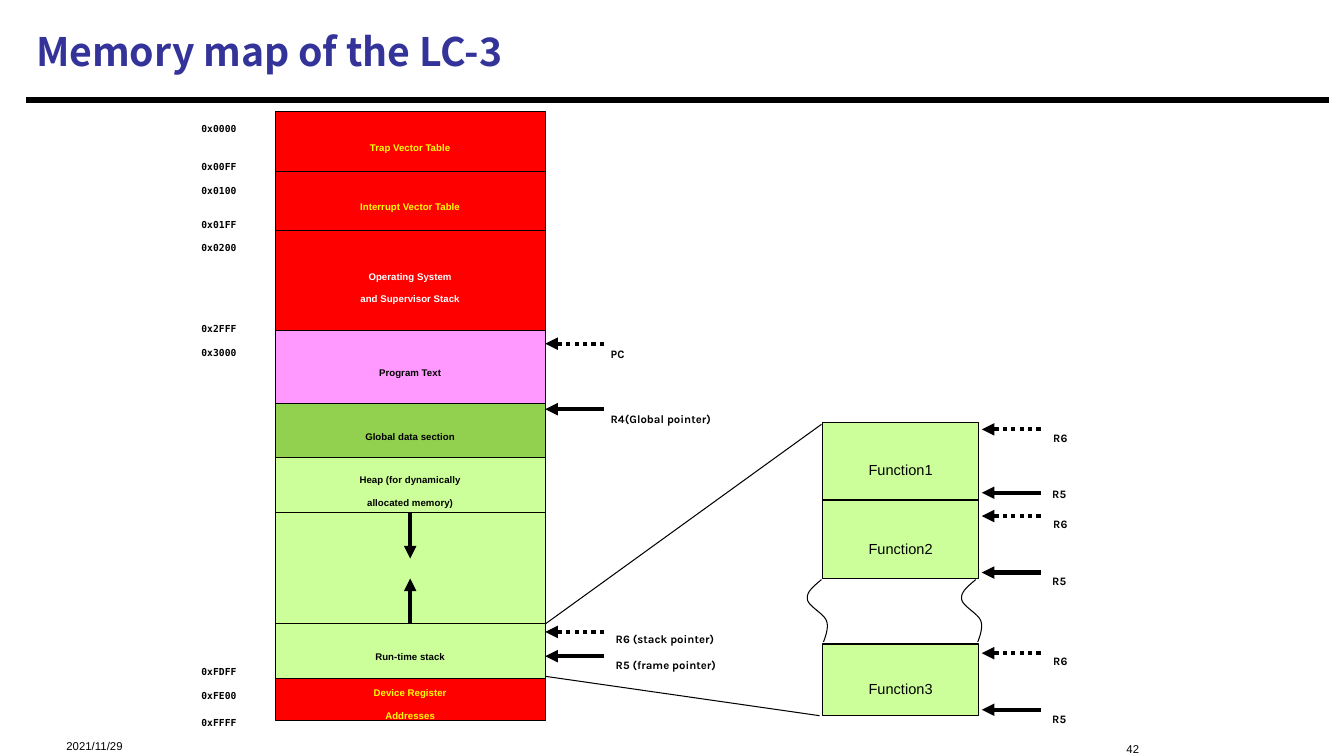
from dataclasses import dataclass

from lxml.etree import SubElement
from pptx import Presentation
from pptx.dml.color import RGBColor
from pptx.enum.dml import MSO_LINE
from pptx.enum.shapes import MSO_CONNECTOR as Link, MSO_SHAPE as Preset
from pptx.enum.text import MSO_ANCHOR as Anchor, PP_ALIGN as Align
from pptx.oxml.ns import qn
from pptx.util import Pt


@dataclass(frozen=True)
class Theme:
    ink: str = "000000"
    title: str = "333399"
    system: str = "FF0000"
    vector_text: str = "FFFF00"
    system_text: str = "FFFFFF"
    program: str = "FF99FF"
    global_data: str = "92D050"
    stack: str = "CCFF99"
    sans: str = "Arial"
    mono: str = "DejaVu Sans Mono"
    label: str = "Karla"
    heading: str = "Noto Sans CJK SC"
    title_size: float = 28
    function_size: float = 18
    label_size: float = 14
    small_size: float = 12
    thin: float = 0.75
    bold: float = 3
    rule: float = 3.75


class MemoryMap:
    def __init__(self, slide, theme):
        self.shapes = slide.shapes
        self.theme = theme

    def set_text(self, frame, text, font, size, color=None, bold=True,
                 align=Align.LEFT, lowered=True):
        """Fill a frame; lowered text is set as a subscript."""
        frame.text = text
        for paragraph in frame.paragraphs:
            paragraph.alignment = align
            for run in paragraph.runs:
                run.font.name = font
                run.font.size = Pt(size)
                run.font.bold = bold
                run.font.color.rgb = RGBColor.from_string(color or self.theme.ink)
                if lowered:
                    run._r.get_or_add_rPr().set("baseline", "-25000")

    def text(self, left, top, width, height, text, font, size,
             anchor=Anchor.TOP, **style):
        frame = self.shapes.add_textbox(
            Pt(left), Pt(top), Pt(width), Pt(height)).text_frame
        frame.word_wrap = True
        frame.vertical_anchor = anchor
        self.set_text(frame, text, font, size, **style)

    def outline(self, shape):
        shape.shadow.inherit = False
        shape.line.color.rgb = RGBColor.from_string(self.theme.ink)
        shape.line.width = Pt(self.theme.thin)

    def block(self, left, top, width, height, fill, text, size, **style):
        block = self.shapes.add_shape(
            Preset.RECTANGLE, Pt(left), Pt(top), Pt(width), Pt(height))
        self.outline(block)
        block.fill.solid()
        block.fill.fore_color.rgb = RGBColor.from_string(fill)
        block.text_frame.vertical_anchor = Anchor.MIDDLE
        self.set_text(block.text_frame, text, self.theme.sans, size,
                      align=Align.CENTER, **style)
        return block

    def line(self, start, end, weight, dotted=False, arrow=False):
        line = self.shapes.add_connector(Link.STRAIGHT, *map(Pt, start + end))
        line.line.color.rgb = RGBColor.from_string(self.theme.ink)
        line.line.width = Pt(weight)
        if dotted:
            line.line.dash_style = MSO_LINE.ROUND_DOT
        if arrow:
            SubElement(line.get_or_add_ln(), qn("a:tailEnd"), type="triangle")
        SubElement(line._element.spPr, qn("a:effectLst"))
        return line

    def pointer(self, tip, y, name, label_left, label_top, dotted):
        self.line((tip + 42, y), (tip, y), self.theme.bold, dotted, arrow=True)
        self.text(label_left, label_top, 126, 24.5, name,
                  self.theme.label, self.theme.label_size)

    def break_mark(self, left, top):
        """Draw the wavy edge that stands for omitted stack frames."""
        curves = [((0, 0), (-5, 4.3), (-10.8, 8.6), (-10.1, 13.7)),
                  ((-10.1, 13.7), (-10.1, 18.7), (2.2, 24.5), (3.6, 29.5)),
                  ((3.6, 29.5), (5.8, 34.6), (1.4, 44.6), (1.4, 44.6))]
        steps = 12
        points = [tuple(Pt(origin + bezier(axis, step / steps))
                        for origin, axis in zip((left, top), zip(*curve)))
                  for curve in curves for step in range(1, steps + 1)]
        builder = self.shapes.build_freeform(Pt(left), Pt(top))
        builder.add_line_segments(points, close=False)
        wave = builder.convert_to_shape()
        self.outline(wave)
        wave.fill.background()


def bezier(controls, t):
    a, b, c, d = controls
    u = 1 - t
    return a * u**3 + 3 * b * u * u * t + 3 * c * u * t * t + d * t**3


def main():
    deck = Presentation()
    deck.slide_width, deck.slide_height = Pt(960), Pt(540)
    theme = Theme()
    page = MemoryMap(deck.slides.add_slide(deck.slide_layouts[6]), theme)

    page.line((18.7, 71.4), (949, 71.4), theme.rule)
    page.text(18.7, 5.8, 928, 60.5, "Memory map of the LC-3", theme.heading,
              theme.title_size, Anchor.MIDDLE, color=theme.title, lowered=False)
    page.text(40.3, 514.8, 240, 19.4, "2021/11/29", theme.sans,
              theme.label_size, bold=False)
    page.text(604.8, 517, 216, 19.4, "42", theme.sans, theme.label_size,
              bold=False, align=Align.RIGHT)

    memory_left, memory_width = 196.5, 193
    memory_right = memory_left + memory_width
    regions = [
        ("", 362, 83.7, theme.stack, theme.ink),
        ("Device Register\nAddresses", 482.4, 32.4, theme.system, theme.vector_text),
        ("Trap Vector Table", 80, 42.3, theme.system, theme.vector_text),
        ("Interrupt Vector Table", 122.3, 42.3, theme.system, theme.vector_text),
        ("Operating System\nand Supervisor Stack", 164.4, 74, theme.system,
         theme.system_text),
        ("Program Text", 236.2, 52, theme.program, theme.ink),
        ("Global data section", 288.2, 39, theme.global_data, theme.ink),
        ("Heap (for dynamically\nallocated memory)", 327, 39, theme.stack, theme.ink),
        ("Run-time stack", 445.7, 39, theme.stack, theme.ink),
    ]
    memory = [page.block(memory_left, top, memory_width, height, fill, name,
                         theme.small_size, color=color)
              for name, top, height, fill, color in regions]

    addresses = [("0x0000", 76.3), ("0x00FF", 103), ("0x0100", 120.2),
                 ("0x01FF", 144.7), ("0x0200", 161.3), ("0x2FFF", 218.9),
                 ("0x3000", 236.2), ("0xFDFF", 463.7), ("0xFE00", 481),
                 ("0xFFFF", 500.4)]
    for address, top in addresses:
        page.text(136.8, top, 66, 21.6, address, theme.mono, theme.small_size)

    middle = memory_left + memory_width / 2
    heap, stack = memory[-2:]
    for region, side, start, end in [(heap, 2, 366, 399), (stack, 0, 445.7, 413.3)]:
        growth = page.line((middle, start), (middle, end), theme.bold, arrow=True)
        growth.begin_connect(region, side)

    for name, y, label_left, label_top, dotted in [
            ("PC", 245.5, 429.1, 234.7, True),
            ("R4(Global pointer)", 292.3, 429.1, 281.5, False),
            ("R6 (stack pointer)", 451.4, 432.7, 438.5, True),
            ("R5 (frame pointer)", 468.7, 432.7, 457.2, False)]:
        page.pointer(memory_right, y, name, label_left, label_top, dotted)

    frames_left, frames_width = 587.5, 111.6
    frames = [("Function1", 301.7, 55.5, (306.7, 295.2), (352, 334.8)),
              ("Function2", 357.8, 55.5, (368.6, 356.4), (409, 397.4)),
              ("Function3", 460, 51, (466.6, 454.3), (507, 495.4))]
    for name, top, height, (r6, r6_label), (r5, r5_label) in frames:
        page.block(frames_left, top, frames_width, height, theme.stack, name,
                   theme.function_size, bold=False)
        page.pointer(701.3, r6, "R6", 745.2, r6_label, True)
        page.pointer(701.3, r5, "R5", 744.5, r5_label, False)
    for left in (586.8, 697):
        page.break_mark(left, 414)

    page.line((memory_right, 445.7), (586.8, 303.1), theme.thin)
    page.line((memory_right, 483.1), (585.4, 511.2), theme.thin)

    deck.save("out.pptx")


if __name__ == "__main__":
    main()
